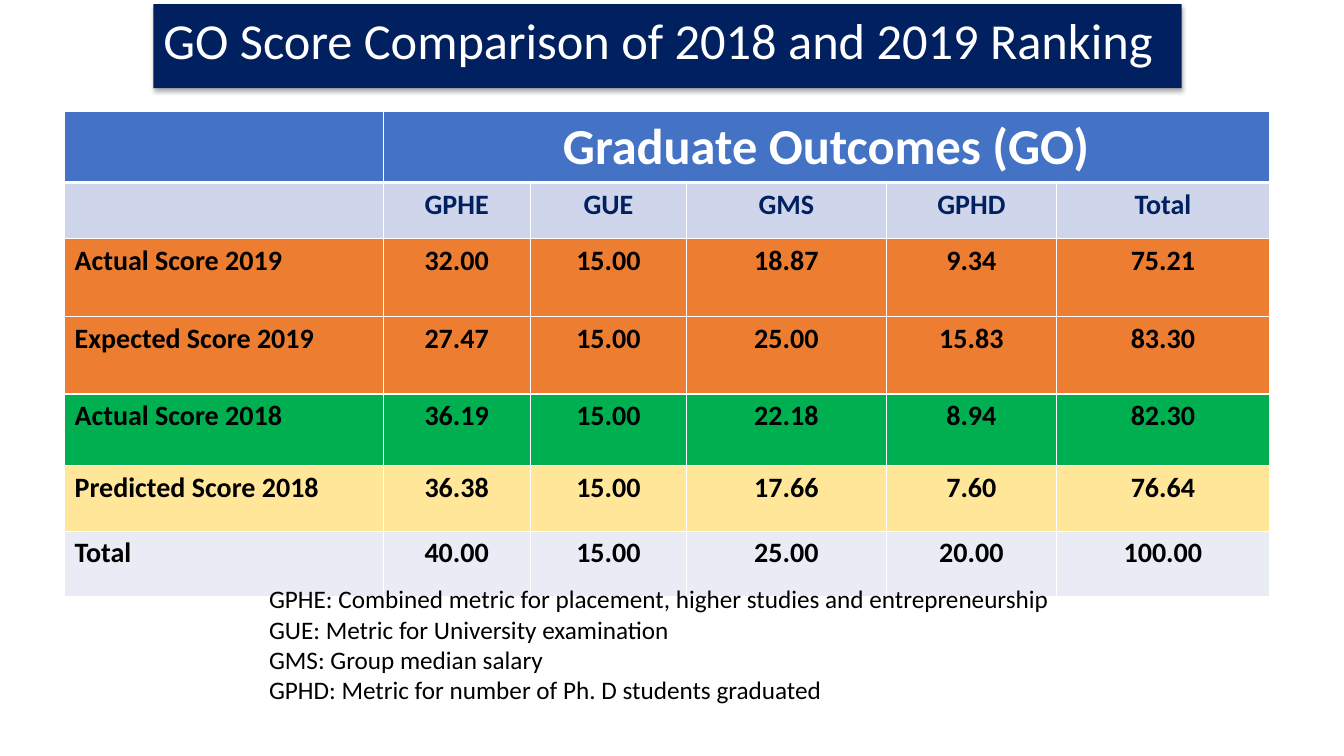
import pptx
import pptx.dml.color
import pptx.enum.text
import pptx.oxml
import pptx.oxml.ns
import pptx.util
from pptx.util import Inches

FONT = "Calibri"
NAVY = "002060"
WHITE = "FFFFFF"
BLACK = "000000"
HEADER_BLUE = "4472C4"

COLUMN_WIDTHS = [3.16, 1.46, 1.55, 1.98, 1.69, 2.11]
ROW_HEIGHTS = [0.69, 0.56, 0.77, 0.77, 0.71, 0.65, 0.65]
SCORE_ROWS = [
    ("CFD5EA", NAVY, ["", "GPHE", "GUE", "GMS", "GPHD", "Total"]),
    ("ED7D31", BLACK, ["Actual Score 2019", "32.00", "15.00", "18.87", "9.34", "75.21"]),
    ("ED7D31", BLACK, ["Expected Score 2019", "27.47", "15.00", "25.00", "15.83", "83.30"]),
    ("00B050", BLACK, ["Actual Score 2018", "36.19", "15.00", "22.18", "8.94", "82.30"]),
    ("FFE699", BLACK, ["Predicted Score 2018", "36.38", "15.00", "17.66", "7.60", "76.64"]),
    ("E9EBF5", BLACK, ["Total", "40.00", "15.00", "25.00", "20.00", "100.00"]),
]
METRIC_NOTES = [
    "GPHE: Combined metric for placement, higher studies and entrepreneurship",
    "GUE: Metric for University examination",
    "GMS: Group median salary",
    "GPHD: Metric for number of Ph. D students graduated",
]


def rgb(color):
    return pptx.dml.color.RGBColor.from_string(color)


def fill_solid(target, color):
    target.fill.solid()
    target.fill.fore_color.rgb = rgb(color)


def format_paragraph(paragraph, size, color, bold=False, centered=False):
    align = pptx.enum.text.PP_ALIGN
    paragraph.alignment = align.CENTER if centered else align.LEFT
    paragraph.font.name = FONT
    paragraph.font.size = pptx.util.Pt(size)
    paragraph.font.bold = bold
    paragraph.font.color.rgb = rgb(color)


def place(shape, left, top, width, height):
    shape.left, shape.top = Inches(left), Inches(top)
    shape.width, shape.height = Inches(width), Inches(height)


def add_shadow(shape):
    namespace = pptx.oxml.ns.nsdecls("a")
    shape.element.spPr.append(pptx.oxml.parse_xml(
        f'<a:effectLst {namespace}>'
        f'<a:outerShdw blurRad="{pptx.util.Pt(3.5)}" dist="{pptx.util.Pt(2.2)}" '
        'dir="5400000" rotWithShape="0">'
        f'<a:srgbClr val="{BLACK}"><a:alpha val="32000"/></a:srgbClr>'
        '</a:outerShdw></a:effectLst>'))


def add_title(slide, text):
    title = slide.shapes.title
    place(title, 1.52, 0.04, 10.2, 0.71)
    fill_solid(title, NAVY)
    add_shadow(title)
    frame = title.text_frame
    frame.text = text
    frame.word_wrap = True
    frame.auto_size = pptx.enum.text.MSO_AUTO_SIZE.SHAPE_TO_FIT_TEXT
    frame.vertical_anchor = pptx.enum.text.MSO_ANCHOR.TOP
    format_paragraph(frame.paragraphs[0], 36, WHITE)


def set_borders(cell, top=1, bottom=1):
    properties = cell._tc.get_or_add_tcPr()
    namespace = pptx.oxml.ns.nsdecls("a")
    for side, width in (("L", 1), ("R", 1), ("T", top), ("B", bottom)):
        properties.append(pptx.oxml.parse_xml(
            f'<a:ln{side} {namespace} w="{pptx.util.Pt(width)}">'
            f'<a:solidFill><a:srgbClr val="{WHITE}"/></a:solidFill></a:ln{side}>'))


def format_cell(cell, text, fill, color, size, centered):
    fill_solid(cell, fill)
    cell.text = text
    format_paragraph(cell.text_frame.paragraphs[0], size, color, True, centered)


def add_score_table(slide):
    table = slide.shapes.add_table(
        len(ROW_HEIGHTS), len(COLUMN_WIDTHS), Inches(0.64), Inches(1.11),
        Inches(sum(COLUMN_WIDTHS)), Inches(sum(ROW_HEIGHTS))).table
    for column, width in zip(table.columns, COLUMN_WIDTHS):
        column.width = Inches(width)
    for row, height in zip(table.rows, ROW_HEIGHTS):
        row.height = Inches(height)

    header = ["", "Graduate Outcomes (GO)", "", "", "", ""]
    rows = [(HEADER_BLUE, WHITE, header)] + SCORE_ROWS
    for row_index, (fill, color, texts) in enumerate(rows):
        for column_index, text in enumerate(texts):
            cell = table.cell(row_index, column_index)
            set_borders(cell, top=3 if row_index == 1 else 1,
                        bottom=3 if row_index == 0 else 1)
            size = 36 if row_index == 0 and text else 20
            format_cell(cell, text, fill, color, size, column_index > 0)
    table.cell(0, 1).merge(table.cell(0, len(COLUMN_WIDTHS) - 1))


def add_notes_box(slide, lines):
    box = slide.shapes.add_textbox(
        Inches(2.57), Inches(5.74), Inches(9.32), Inches(1.31))
    frame = box.text_frame
    frame.word_wrap = True
    frame.auto_size = pptx.enum.text.MSO_AUTO_SIZE.SHAPE_TO_FIT_TEXT
    frame.text = "\n".join(lines)
    for paragraph in frame.paragraphs:
        format_paragraph(paragraph, 18, BLACK)


def main():
    presentation = pptx.Presentation()
    presentation.slide_width = Inches(13.33)
    presentation.slide_height = Inches(7.5)
    slide = presentation.slides.add_slide(
        presentation.slide_layouts.get_by_name("Title Only"))
    add_title(slide, "GO Score Comparison of 2018 and 2019 Ranking")
    add_score_table(slide)
    add_notes_box(slide, METRIC_NOTES)
    presentation.save("out.pptx")


if __name__ == "__main__":
    main()
